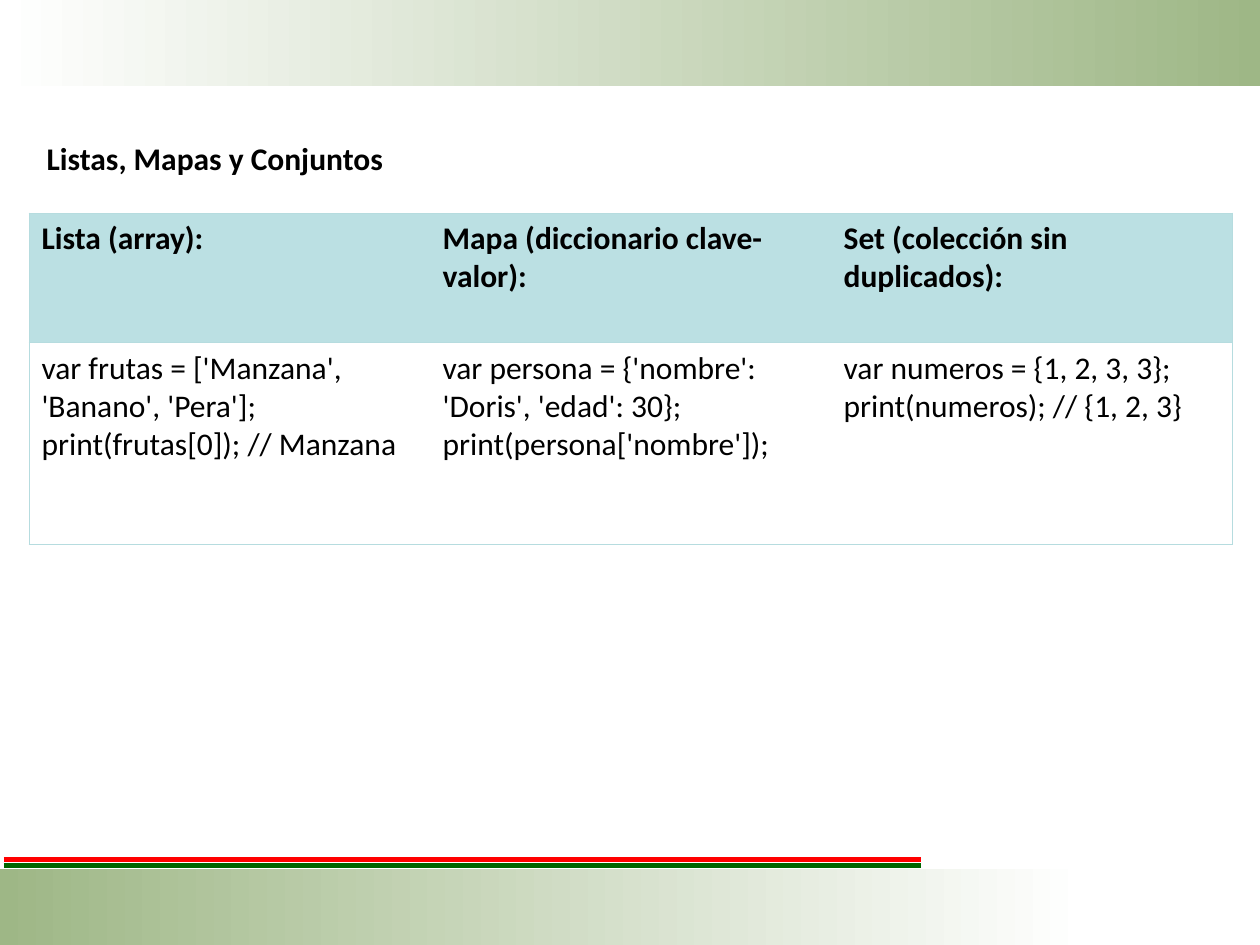
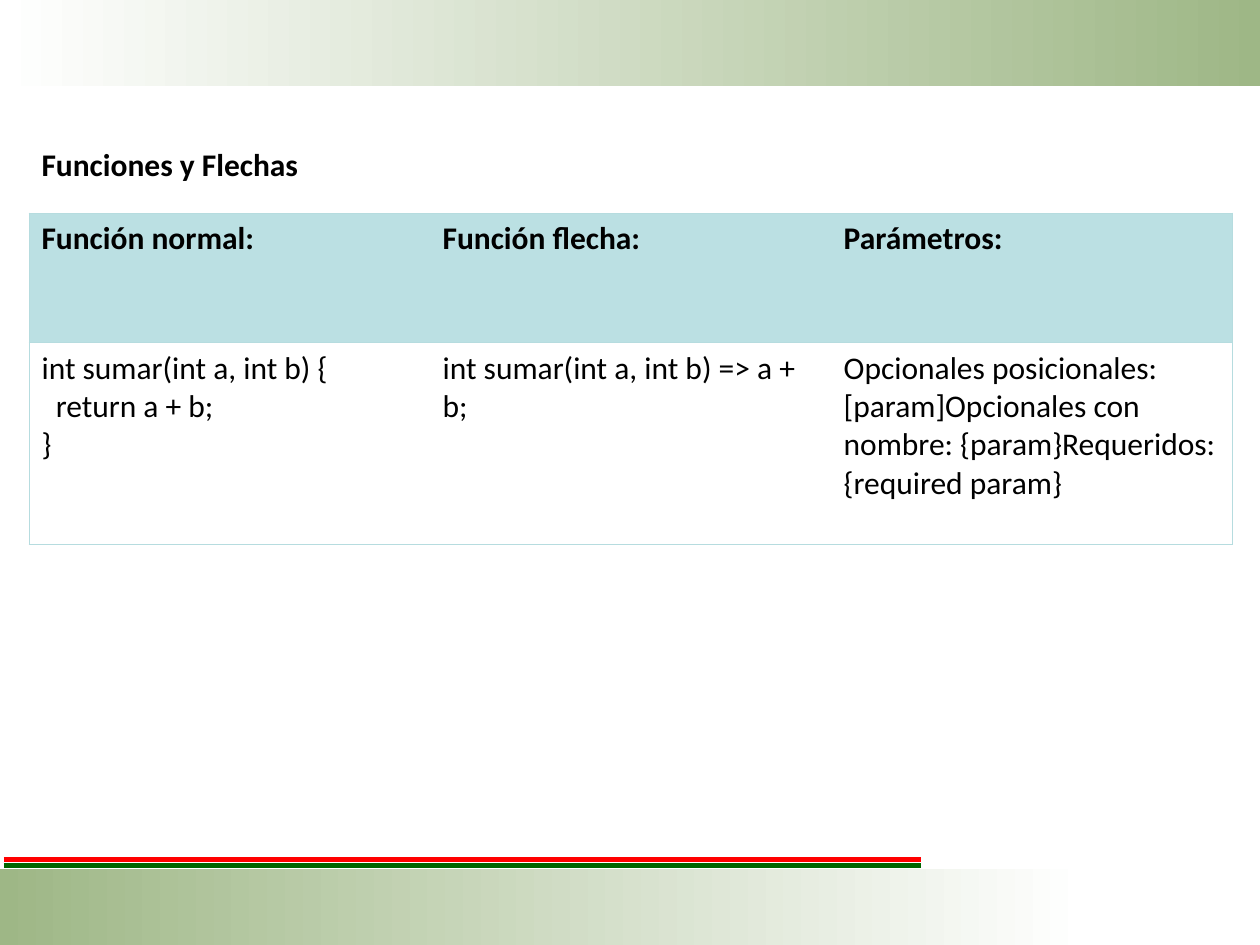
from dataclasses import dataclass

from lxml.etree import SubElement
from pptx import Presentation
from pptx.dml.color import RGBColor
from pptx.enum.shapes import MSO_CONNECTOR as Link, MSO_SHAPE as Form
from pptx.enum.text import MSO_ANCHOR as Anchor, MSO_AUTO_SIZE as Fit, PP_ALIGN as Align
from pptx.oxml import parse_xml
from pptx.oxml.ns import nsdecls, qn
from pptx.util import Pt

FONT = "Calibri"
BLACK, WHITE, SAGE = "000000", "FFFFFF", "9EB786"
RED, GREEN = "FF0000", "006600"
HEAD, EDGE = "BBE0E3", "B6DCDF"
LEFT, TOP = 16.56, 121.68
COL, ROWS = 229.2, (74.16, 115.2)
INDENT = 8.1


@dataclass
class Band:
    top: float
    width: float
    height: float
    start: str
    end: str


@dataclass
class Rule:
    y: float
    color: str


@dataclass
class Page:
    title: str
    left: float
    top: float
    heads: list[str]
    codes: list[str]


BANDS = [
    Band(0, 720, 48.96, WHITE, SAGE),
    Band(496.8, 620.64, 43.2, SAGE, WHITE),
]
RULES = [Rule(491.04, RED), Rule(494.64, GREEN)]
PAGES = [
    Page(
        "Listas, Mapas y Conjuntos", 19.44, 75.6,
        ["Lista (array):", "Mapa (diccionario clave-valor):",
         "Set (colección sin duplicados):"],
        ["var frutas = ['Manzana', 'Banano', 'Pera'];\nprint(frutas[0]); // Manzana",
         "var persona = {'nombre': 'Doris', 'edad': 30};\nprint(persona['nombre']);",
         "var numeros = {1, 2, 3, 3};\nprint(numeros); // {1, 2, 3}"],
    ),
    Page(
        "Funciones y Flechas", 16.56, 79.2,
        ["Función normal:", "Función flecha:", "Parámetros:"],
        ["int sumar(int a, int b) {\n\treturn a + b;\n}",
         "int sumar(int a, int b) => a + b;",
         "Opcionales posicionales: [param]Opcionales con nombre: "
         "{param}Requeridos: {required param}"],
    ),
]


def rgb(code: str) -> RGBColor:
    return RGBColor.from_string(code)


def write(frame, text: str, size: float = 18, bold: bool = False,
          color: str = BLACK) -> None:
    frame.word_wrap = True
    for i, line in enumerate(text.split("\n")):
        para = frame.add_paragraph() if i else frame.paragraphs[0]
        para.alignment = Align.LEFT
        if line.startswith("\t"):
            props = para._p.get_or_add_pPr()
            props.set("marL", str(Pt(INDENT)))
            props.set("indent", "0")
        run = para.add_run()
        run.text = line.strip()
        font = run.font
        font.name, font.size, font.bold = FONT, Pt(size), bold
        font.color.rgb = rgb(color)


def draw_band(slide, band: Band) -> None:
    shape = slide.shapes.add_shape(
        Form.RECTANGLE, 0, Pt(band.top), Pt(band.width), Pt(band.height))
    shape.shadow.inherit = False
    shape.line.fill.background()
    shape.fill.gradient()
    shape.fill.gradient_angle = 0
    for stop, color in zip(shape.fill.gradient_stops, (band.start, band.end)):
        stop.color.rgb = rgb(color)


def draw_rule(slide, rule: Rule) -> None:
    line = slide.shapes.add_connector(
        Link.STRAIGHT, Pt(2.16), Pt(rule.y), Pt(526.32), Pt(rule.y))
    line.line.color.rgb = rgb(rule.color)
    line.line.width = Pt(3)
    SubElement(line._element.spPr, qn("a:effectLst"))


def set_edges(cell, sides: str) -> None:
    props = cell._tc.get_or_add_tcPr()
    for i, side in enumerate("LRTB"):
        fill = (f'<a:solidFill><a:srgbClr val="{EDGE}"/></a:solidFill>'
                if side in sides else "<a:noFill/>")
        props.insert(i, parse_xml(
            f'<a:ln{side} {nsdecls("a")} w="{Pt(0.34)}">{fill}</a:ln{side}>'))


def draw_table(slide, page: Page) -> None:
    grid = [page.heads, page.codes]
    count = len(page.heads)
    table = slide.shapes.add_table(
        len(grid), count, Pt(LEFT), Pt(TOP), Pt(COL * count), Pt(sum(ROWS))).table
    table.first_row = table.horz_banding = False
    for col in table.columns:
        col.width = Pt(COL)
    for r, texts in enumerate(grid):
        table.rows[r].height = Pt(ROWS[r])
        for c, text in enumerate(texts):
            cell = table.cell(r, c)
            write(cell.text_frame, text, bold=r == 0)
            if r == 0:
                cell.fill.solid()
                cell.fill.fore_color.rgb = rgb(HEAD)
            else:
                cell.fill.background()
            set_edges(cell, "TB" + "L" * (c == 0) + "R" * (c == count - 1))


def set_title(slide, page: Page) -> None:
    title = slide.shapes.title
    title.left, title.top = Pt(page.left), Pt(page.top)
    title.width, title.height = Pt(360), Pt(28.8)
    frame = title.text_frame
    frame.auto_size = Fit.NONE
    frame.vertical_anchor = Anchor.TOP
    frame.margin_left = frame.margin_right = Pt(7.2)
    frame.margin_top = frame.margin_bottom = Pt(3.6)
    write(frame, page.title, bold=True)


def main() -> None:
    deck = Presentation()
    deck.slide_width, deck.slide_height = Pt(720), Pt(540)
    for page in PAGES:
        slide = deck.slides.add_slide(deck.slide_layouts[5])
        for band in BANDS:
            draw_band(slide, band)
        for rule in RULES:
            draw_rule(slide, rule)
        set_title(slide, page)
        draw_table(slide, page)
    deck.save("out.pptx")


if __name__ == "__main__":
    main()
